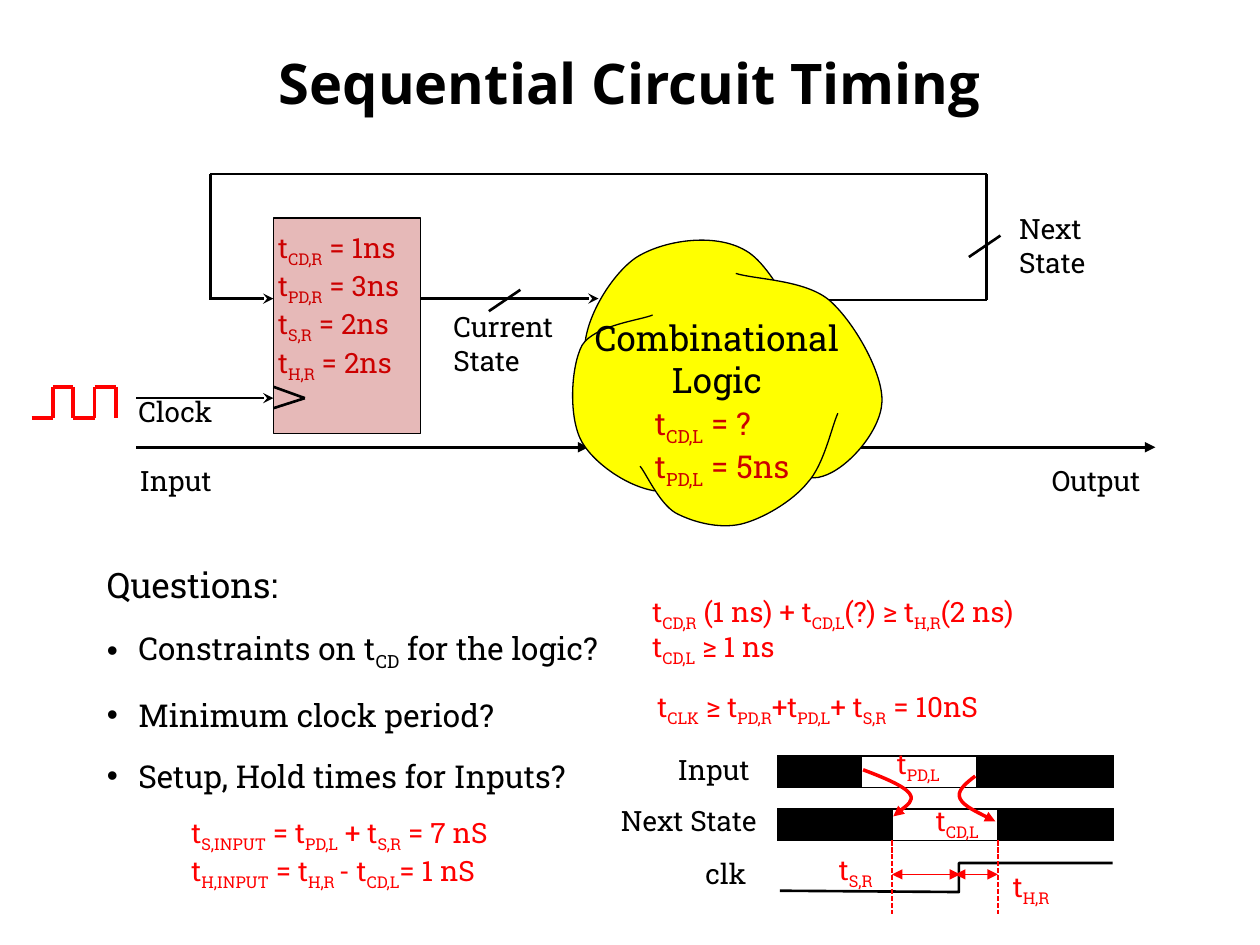
from dataclasses import dataclass
from itertools import pairwise
from typing import NamedTuple

from pptx import Presentation
from pptx import util as u
from pptx.dml.color import RGBColor
from pptx.enum import dml, shapes, text
from pptx.oxml.ns import qn


@dataclass(frozen=True)
class Theme:
    """Colours, fonts, type sizes and line widths."""
    ink: str = "000000"
    red: str = "FF0000"
    dark_red: str = "CC0000"
    cloud: str = "FFFF00"
    register: str = "E6B9B8"
    body_font: str = "Roboto Slab"
    title_font: str = "Open Sans"
    title: int = 32
    head: int = 20
    item: int = 18
    label: int = 16
    thin: float = 0.75
    measure: float = 1
    wire: float = 1.5
    arc: float = 2
    clock: float = 2.25


class Label(NamedTuple):
    """Paragraphs in a box; underscores enclose subscripts."""
    box: tuple
    lines: tuple
    color: str = Theme.ink
    size: int = Theme.label
    align: text.PP_ALIGN | None = None


class Row(NamedTuple):
    """One signal of the timing diagram, with its stable window."""
    top: float
    start: float
    end: float


T = Theme()
CENTER = text.PP_ALIGN.CENTER
prs = Presentation()
prs.slide_width, prs.slide_height = u.Inches(10), u.Inches(7.5)
s = prs.slides.add_slide(prs.slide_layouts[6])


def rgb(color: str) -> RGBColor:
    """Turn a hex string into a colour."""
    return RGBColor.from_string(color)


def add_xml(parent, tag: str, **attrs: str):
    """Append a child element and return it."""
    child = parent.makeelement(qn(tag), attrs)
    parent.append(child)
    return child


def write(p, words: str, *, size: int = T.label, color: str = T.ink,
          font: str = T.body_font, bold: bool = False) -> None:
    """Fill a paragraph, lowering the parts between underscores."""
    for i, part in enumerate(words.split("_")):
        for j, piece in enumerate(part.split("\n")):
            if j:
                p.add_line_break()
            if not piece:
                continue
            r = p.add_run()
            r.text = piece
            r.font.size, r.font.name, r.font.bold = u.Pt(size), font, bold
            r.font.color.rgb = rgb(color)
            if i % 2:
                r._r.get_or_add_rPr().set("baseline", "-25000")


def text_frame(box: tuple, wrap: bool = False):
    """Add a text box and return its frame."""
    tf = s.shapes.add_textbox(*map(u.Inches, box)).text_frame
    tf.word_wrap = wrap
    tf.auto_size = text.MSO_AUTO_SIZE.SHAPE_TO_FIT_TEXT
    return tf


def label(item: Label) -> None:
    """Draw a label, one paragraph a line."""
    tf = text_frame(item.box)
    for i, words in enumerate(item.lines):
        p = tf.add_paragraph() if i else tf.paragraphs[0]
        p.alignment = item.align
        write(p, words, size=item.size, color=item.color)


def arrowheads(line, head: str | None = None, tail: str | None = None) -> None:
    """Put arrowheads at the start and end of a line."""
    for tag, kind in (("a:headEnd", head), ("a:tailEnd", tail)):
        if kind:
            add_xml(line._get_or_add_ln(), tag, type=kind)


def wire(x1: float, y1: float, x2: float, y2: float, *, color: str = T.ink,
         width: float = T.wire, head: str | None = None,
         tail: str | None = None, dashed: bool = False) -> None:
    """Draw a straight connector."""
    c = s.shapes.add_connector(shapes.MSO_CONNECTOR.STRAIGHT,
                               *map(u.Inches, (x1, y1, x2, y2)))
    c.line.color.rgb, c.line.width = rgb(color), u.Pt(width)
    if dashed:
        c.line.dash_style = dml.MSO_LINE.SQUARE_DOT
    arrowheads(c.line, head, tail)
    add_xml(c._element.spPr, "a:effectLst")


def chain(points: list, **fmt) -> None:
    """Join successive points with connectors."""
    for a, b in pairwise(points):
        wire(*a, *b, **fmt)


def paint(sp, fill: str | None, color: str = T.ink, width: float = T.thin) -> None:
    """Set fill and outline, without a shadow."""
    sp.shadow.inherit = False
    if fill:
        sp.fill.solid()
        sp.fill.fore_color.rgb = rgb(fill)
    else:
        sp.fill.background()
    sp.line.color.rgb, sp.line.width = rgb(color), u.Pt(width)


def block(x: float, y: float, w: float, h: float, fill: str | None) -> None:
    """Draw a rectangle."""
    paint(s.shapes.add_shape(shapes.MSO_SHAPE.RECTANGLE,
                             *map(u.Inches, (x, y, w, h))), fill)


def outline(points: list, fill: str | None = None, color: str = T.ink,
            width: float = T.thin, tail: str | None = None, curved: bool = True) -> None:
    """Draw an open freeform; when curved, each three points make a cubic."""
    pts = [(u.Inches(x), u.Inches(y)) for x, y in points]
    fb = s.shapes.build_freeform(*pts[0], scale=1.0)
    fb.add_line_segments(pts[1:], close=False)
    sp = fb.convert_to_shape()
    if curved:
        for outline_path in sp._element.iter(qn("a:path")):
            segments = outline_path.findall(qn("a:lnTo"))
            for i in range(0, len(segments), 3):
                cubic = add_xml(outline_path, "a:cubicBezTo")
                for segment in segments[i:i + 3]:
                    cubic.append(segment[0])
                    outline_path.remove(segment)
    paint(sp, fill, color, width)
    arrowheads(sp.line, tail=tail)


# Questions
tf = text_frame((0.75, 4.42, 7.42, 1.97), wrap=True)
write(tf.paragraphs[0], "Questions:", size=T.head)
for question in ("Constraints on t_CD_ for the logic?", "Minimum clock period?",
                 "Setup, Hold times for Inputs?"):
    p = tf.add_paragraph()
    p.line_spacing = 1.2
    p_pr = p._p.get_or_add_pPr()
    p_pr.set("marL", str(u.Inches(0.25)))
    p_pr.set("indent", str(u.Inches(-0.25)))
    add_xml(add_xml(p_pr, "a:spcBef"), "a:spcPct", val="50000")
    add_xml(p_pr, "a:buFont", typeface="Arial")
    add_xml(p_pr, "a:buChar", char="•")
    write(p, question, size=T.item)

# Combinational logic cloud
wire(1.08, 3.55, 4.67, 3.55, tail="triangle")
for lobe in (
    [(6.53, 2.93), (6.43, 2.78), (6.17, 2.13), (5.92, 1.99), (5.67, 1.84), (5.25, 1.91),
     (5.04, 2.05), (4.83, 2.2), (4.59, 2.61), (4.65, 2.86), (4.71, 3.12), (5.25, 3.43), (5.41, 3.58)],
    [(5.18, 2.5), (5.09, 2.54), (4.72, 2.58), (4.62, 2.74), (4.53, 2.91), (4.51, 3.32),
     (4.62, 3.51), (4.73, 3.7), (5.06, 3.92), (5.3, 3.9), (5.53, 3.89), (5.87, 3.52), (6.02, 3.41)],
    [(5.85, 3.56), (5.97, 3.6), (6.34, 3.85), (6.53, 3.78), (6.73, 3.72), (6.99, 3.42),
     (7, 3.19), (7.01, 2.96), (6.78, 2.56), (6.59, 2.39), (6.4, 2.22), (6, 2.22), (5.84, 2.17)],
    [(5.08, 3.7), (5.13, 3.76), (5.23, 3.99), (5.36, 4.07), (5.49, 4.14), (5.7, 4.2),
     (5.88, 4.16), (6.05, 4.12), (6.29, 3.98), (6.41, 3.83), (6.54, 3.69), (6.6, 3.39), (6.65, 3.28)],
):
    outline(lobe, fill=T.cloud)
label(Label((4.58, 2.46, 2.22, 0.77), ("Combinational", "Logic"), size=T.head, align=CENTER))

# Register, wires and clock
for x1, x2, y in ((1.08, 2.17, 3.16), (1.67, 2.17, 2.37), (3.33, 4.75, 2.37)):
    wire(x1, y, x2, y, tail="stealth")
chain([(6.58, 2.38), (7.83, 2.38), (7.83, 1.38), (1.67, 1.38), (1.67, 2.38)])
wire(6.83, 3.55, 9.17, 3.55, tail="triangle")
block(2.17, 1.73, 1.17, 1.71, T.register)
chain([(2.17, 3.07), (2.42, 3.16), (2.17, 3.24)])
LOW, HIGH = 3.32, 3.07
chain([(0.25, LOW), (0.42, LOW), (0.42, HIGH), (0.58, HIGH), (0.58, LOW), (0.75, LOW),
       (0.75, HIGH), (0.92, HIGH), (0.92, LOW)], color=T.red, width=T.clock)
for x, y in ((3.88, 2.3), (7.69, 1.87)):
    wire(x + 0.25, y, x, y + 0.17)

# Title
tf = text_frame((0.5, 0.3, 9, 0.7), wrap=True)
tf.auto_size = text.MSO_AUTO_SIZE.NONE
tf.vertical_anchor = text.MSO_ANCHOR.MIDDLE
tf.paragraphs[0].alignment = CENTER
write(tf.paragraphs[0], "Sequential Circuit Timing", size=T.title, font=T.title_font, bold=True)

# Timing diagram
LEFT, RIGHT, ROW_H = 6.17, 8.84, 0.25
outline([(6.19, 7.07), (7.61, 7.08), (7.61, 6.85), (8.83, 6.85)], width=T.wire, curved=False)
state = Row(6.42, 7.08, 7.92)
for row in (state, Row(6, 6.84, 7.75)):
    block(LEFT, row.top, RIGHT - LEFT, ROW_H, None)
    block(LEFT, row.top, row.start - LEFT, ROW_H, T.ink)
    block(row.end, row.top, RIGHT - row.end, ROW_H, T.ink)
for x in (state.start, state.end):
    wire(x, 6.67, x, 7.25, color=T.red, width=T.measure, dashed=True)
for x1, x2 in ((state.start, 7.62), (7.58, state.end)):
    wire(x1, 6.94, x2, 6.94, color=T.red, width=T.measure, head="triangle", tail="triangle")
for arc in (
    [(6.85, 6.11), (7.01, 6.17), (7.18, 6.24), (7.22, 6.3), (7.26, 6.36), (7.09, 6.48), (7.09, 6.48)],
    [(7.74, 6.16), (7.66, 6.22), (7.59, 6.28), (7.62, 6.34), (7.65, 6.4), (7.9, 6.52), (7.9, 6.52)],
):
    outline(arc, color=T.red, width=T.arc, tail="triangle")

for item in (
    Label((3.5, 2.41, 1.11, 0.64), ("Current", "State")),
    Label((7.99, 1.63, 0.77, 0.64), ("Next", "State")),
    Label((1.01, 3.63, 0.8, 0.37), ("Input",)),
    Label((8.25, 3.63, 1.03, 0.37), ("Output",)),
    Label((1, 3.08, 0.82, 0.37), ("Clock",)),
    Label((5.1, 3.16, 1.46, 0.71), ("t_CD,L_ = ?\nt_PD,L_ = 5ns",), T.dark_red, T.item),
    Label((2.11, 1.78, 1.36, 1.18), ("t_CD,R_ = 1ns\nt_PD,R_ = 3ns\nt_S,R_ = 2ns",
                                     "t_H,R_ = 2ns"), T.dark_red),
    Label((5.08, 4.95, 1.4, 0.37), ("t_CD,L_ ≥ 1 ns",), T.red),
    Label((1.42, 6.42, 3.01, 0.64), ("t_S,INPUT_ = t_PD,L_ + t_S,R_ = 7 nS",
                                     "t_H,INPUT_ = t_H,R _- t_CD,L_= 1 nS"), T.red),
    Label((5.08, 4.67, 3.59, 0.37), ("t_CD,R_ (1 ns) + t_CD,L_(?) ≥ t_H,R_(2 ns)",), T.red),
    Label((5.12, 5.42, 3.3, 0.37), ("t_CLK_ ≥ t_PD,R_+t_PD,L_+ t_S,R_ = 10nS",), T.red),
    Label((5.5, 6.75, 0.53, 0.37), ("clk",)),
    Label((4.83, 6.33, 1.33, 0.37), ("Next State ",)),
    Label((6.56, 6.72, 0.55, 0.37), ("t_S,R_",), T.red),
    Label((7.94, 6.85, 0.57, 0.37), ("t_H,R_",), T.red),
    Label((5.28, 5.92, 0.8, 0.37), ("Input",)),
    Label((7.02, 5.88, 0.65, 0.37), ("t_PD,L_",), T.red),
    Label((7.33, 6.33, 0.66, 0.37), ("t_CD,L_",), T.red),
):
    label(item)

prs.save("out.pptx")
